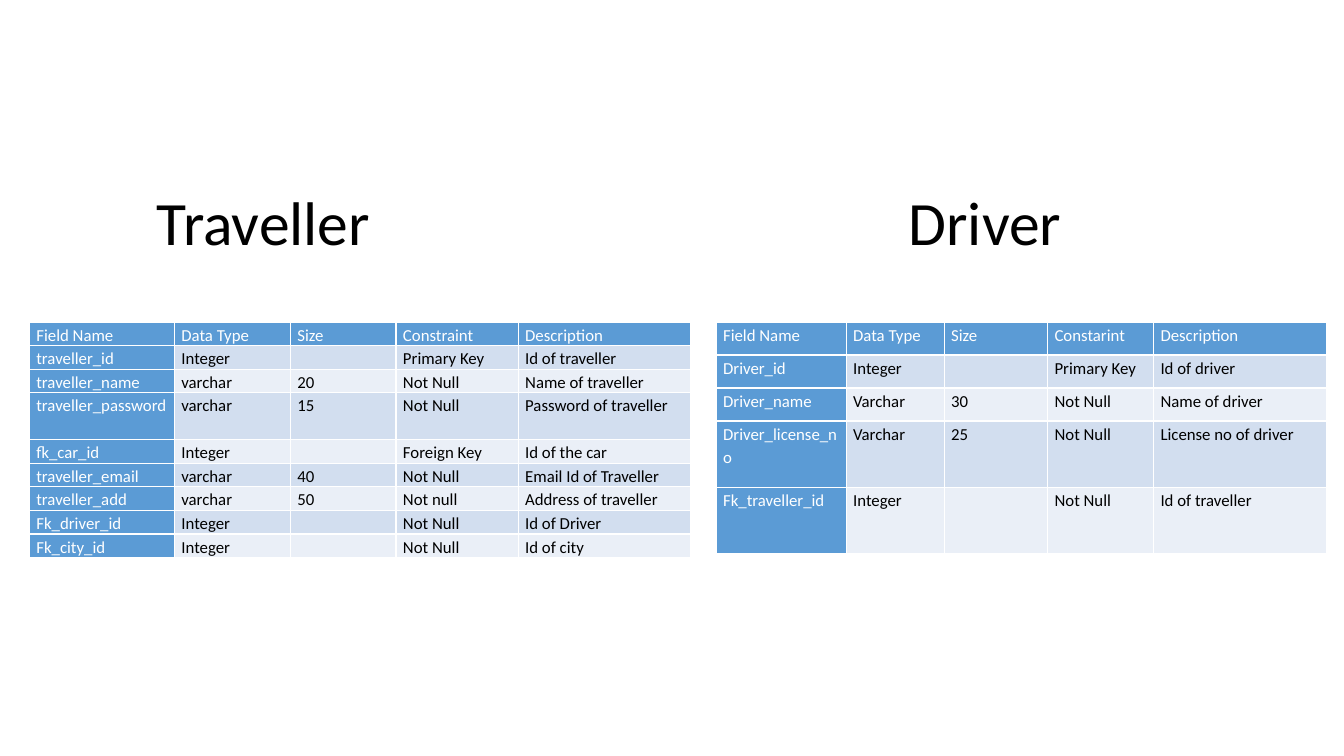
from lxml import etree
from pptx import Presentation
from pptx.dml.color import RGBColor
from pptx.enum.text import MSO_ANCHOR
from pptx.oxml.ns import qn
from pptx.util import Pt

MIDDLE = MSO_ANCHOR.MIDDLE
WHITE = RGBColor(0xFF, 0xFF, 0xFF)
BLACK = RGBColor(0, 0, 0)
HEADER = RGBColor(0x5B, 0x9B, 0xD5)
BANDS = (RGBColor(0xEA, 0xEF, 0xF7), RGBColor(0xD2, 0xDE, 0xEF))


def write(tf, text, size=12, color=BLACK, spacing=1.15, after=10):
    p = tf.paragraphs[0]
    p.line_spacing = spacing
    p.space_after = Pt(after)
    if not text:
        # An empty cell still needs its text size, which sets the row height
        etree.SubElement(p._p, qn("a:endParaRPr"), sz=str(size * 100))
        return p
    r = p.add_run()
    r.text = text
    r.font.name = "Calibri"
    r.font.size = Pt(size)
    r.font.bold = False
    r.font.color.rgb = color
    return p


prs = Presentation()
prs.slide_width, prs.slide_height = Pt(960), Pt(540)
s = prs.slides.add_slide(prs.slide_layouts[6])

# Table contents: left edge, column widths, row heights, rows
tables = [
    (21, (103.6, 82.8, 75.5, 87.3, 123), (16.8,) * 3 + (33.6,) + (16.8,) * 5, [
        ("Field Name", "Data Type", "Size", "Constraint", "Description"),
        ("traveller_id", "Integer", "", "Primary Key", "Id of traveller"),
        ("traveller_name", "varchar", "20", "Not Null", "Name of traveller"),
        ("traveller_password", "varchar", "15", "Not Null", "Password of traveller"),
        ("fk_car_id", "Integer", "", "Foreign Key", "Id of the car"),
        ("traveller_email", "varchar", "40", "Not Null", "Email Id of Traveller"),
        ("traveller_add", "varchar", "50", "Not null", "Address of traveller"),
        ("Fk_driver_id", "Integer", "", "Not Null", "Id of Driver"),
        ("Fk_city_id", "Integer", "", "Not Null", "Id of city"),
    ]),
    (511.5, (92.9, 70, 73.9, 75.7, 123.7), (23.6,) * 3 + (47.2,) * 2, [
        ("Field Name", "Data Type", "Size", "Constarint", "Description"),
        ("Driver_id", "Integer", "", "Primary Key", "Id of driver"),
        ("Driver_name", "Varchar", "30", "Not Null", "Name of driver"),
        ("Driver_license_no", "Varchar", "25", "Not Null", "License no of driver"),
        ("Fk_traveller_id", "Integer", "", "Not Null", "Id of traveller"),
    ]),
]

# Tables: blue header row and first column, banded body
for left, widths, heights, rows in tables:
    table = s.shapes.add_table(len(rows), len(widths), Pt(left), Pt(230),
                               Pt(sum(widths)), Pt(sum(heights))).table
    table.first_col = True
    for col, width in zip(table.columns, widths):
        col.width = Pt(width)
    for i, values in enumerate(rows):
        table.rows[i].height = Pt(heights[i])
        for j, value in enumerate(values):
            cell = table.cell(i, j)
            is_header = i == 0 or j == 0
            cell.margin_left = cell.margin_right = Pt(5)
            cell.margin_top = cell.margin_bottom = 0
            cell.fill.solid()
            cell.fill.fore_color.rgb = HEADER if is_header else BANDS[i % 2]
            write(cell.text_frame, value, color=WHITE if is_header else BLACK)

# Title: a tab stop places the second name above its table
tf = s.shapes.add_textbox(Pt(105), Pt(108.7), Pt(828), Pt(104.4)).text_frame
tf.word_wrap = True
tf.vertical_anchor = MIDDLE
p = write(tf, "Traveller\tDriver", size=44, spacing=0.9, after=0)
tabs = etree.SubElement(p._p.get_or_add_pPr(), qn("a:tabLst"))
etree.SubElement(tabs, qn("a:tab"), pos=str(Pt(537)), algn="l")

prs.save("out.pptx")
